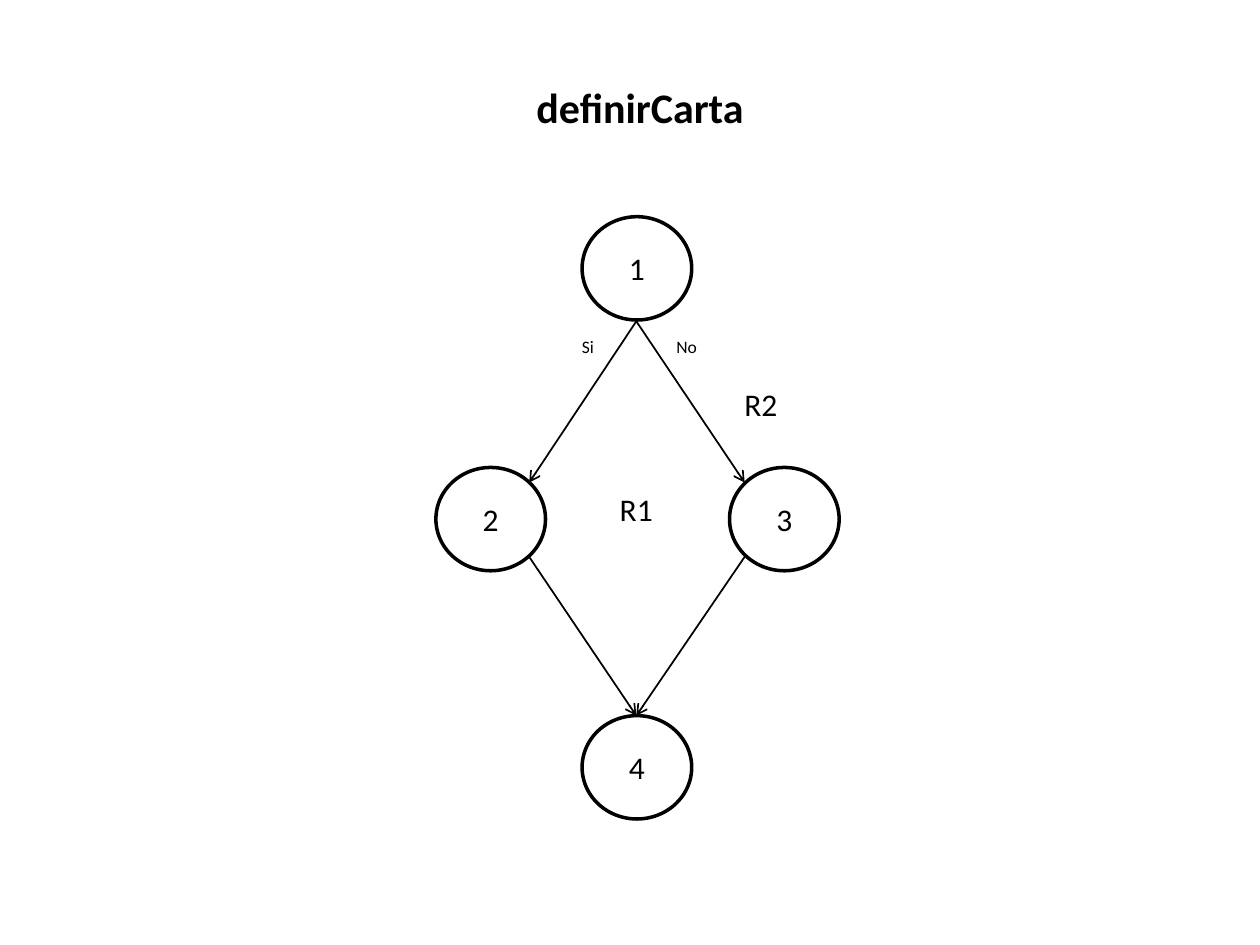
"""Build the control flow graph slide for definirCarta."""
from lxml.etree import SubElement
from pptx import Presentation
from pptx.dml.color import RGBColor
from pptx.enum.shapes import MSO_CONNECTOR as LINK, MSO_SHAPE as SHAPE
from pptx.enum.text import MSO_ANCHOR as ANCHOR, MSO_AUTO_SIZE as FIT, PP_ALIGN as ALIGN
from pptx.oxml.ns import qn
from pptx.util import Inches, Pt

BLACK = RGBColor(0, 0, 0)
WIDE, HIGH = 0.87, 0.82
MID, LEFT, RIGHT = 5.05, 4.2, 5.91


def write(frame, text, size, bold=False, align=None):
    frame.text = text
    para = frame.paragraphs[0]
    para.alignment = align
    font = para.font
    font.name = "Calibri"
    font.size = Pt(size)
    font.bold = bold
    font.color.rgb = BLACK


deck = Presentation()
deck.slide_width, deck.slide_height = Inches(10), Inches(7.5)
slide = deck.slides.add_slide(deck.slide_layouts[6])
shapes = slide.shapes

nodes = [("1", 4.62, 1.72), ("2", 3.46, 3.71), ("4", 4.62, 5.68), ("3", 5.79, 3.71)]
for name, x, y in nodes:
    node = shapes.add_shape(SHAPE.OVAL, Inches(x), Inches(y), Inches(WIDE), Inches(HIGH))
    node.shadow.inherit = False
    node.fill.background()
    node.line.color.rgb = BLACK
    node.line.width = Pt(2)
    node.text_frame.vertical_anchor = ANCHOR.MIDDLE
    write(node.text_frame, name, 18, align=ALIGN.CENTER)

edges = [
    (MID, 2.55, LEFT, 3.83),
    (MID, 2.55, RIGHT, 3.83),
    (LEFT, 4.42, MID, 5.68),
    (RIGHT, 4.42, MID, 5.68),
]
for edge in edges:
    arrow = shapes.add_connector(LINK.STRAIGHT, *map(Inches, edge))
    arrow.line.color.rgb = BLACK
    arrow.line.width = Pt(1)
    SubElement(arrow.line._get_or_add_ln(), qn("a:tailEnd"), type="arrow")
    SubElement(arrow._element.spPr, qn("a:effectLst"))

labels = [
    ("R1", 4.82, 3.84, 0.47, 0.4, 18),
    ("R2", 5.81, 3.01, 0.47, 0.4, 18),
    ("Si", 4.52, 2.62, 0.3, 0.27, 10),
    ("No", 5.27, 2.62, 0.37, 0.27, 10),
]
for text, x, y, wide, high, size in labels:
    label = shapes.add_textbox(Inches(x), Inches(y), Inches(wide), Inches(high))
    label.text_frame.word_wrap = False
    label.text_frame.auto_size = FIT.SHAPE_TO_FIT_TEXT
    write(label.text_frame, text, size)

title = shapes.add_textbox(Inches(3.35), Inches(0.6), Inches(3.46), Inches(0.5))
title.text_frame.word_wrap = True
title.text_frame.auto_size = FIT.SHAPE_TO_FIT_TEXT
write(title.text_frame, "definirCarta", 24, bold=True, align=ALIGN.CENTER)

deck.save("out.pptx")
